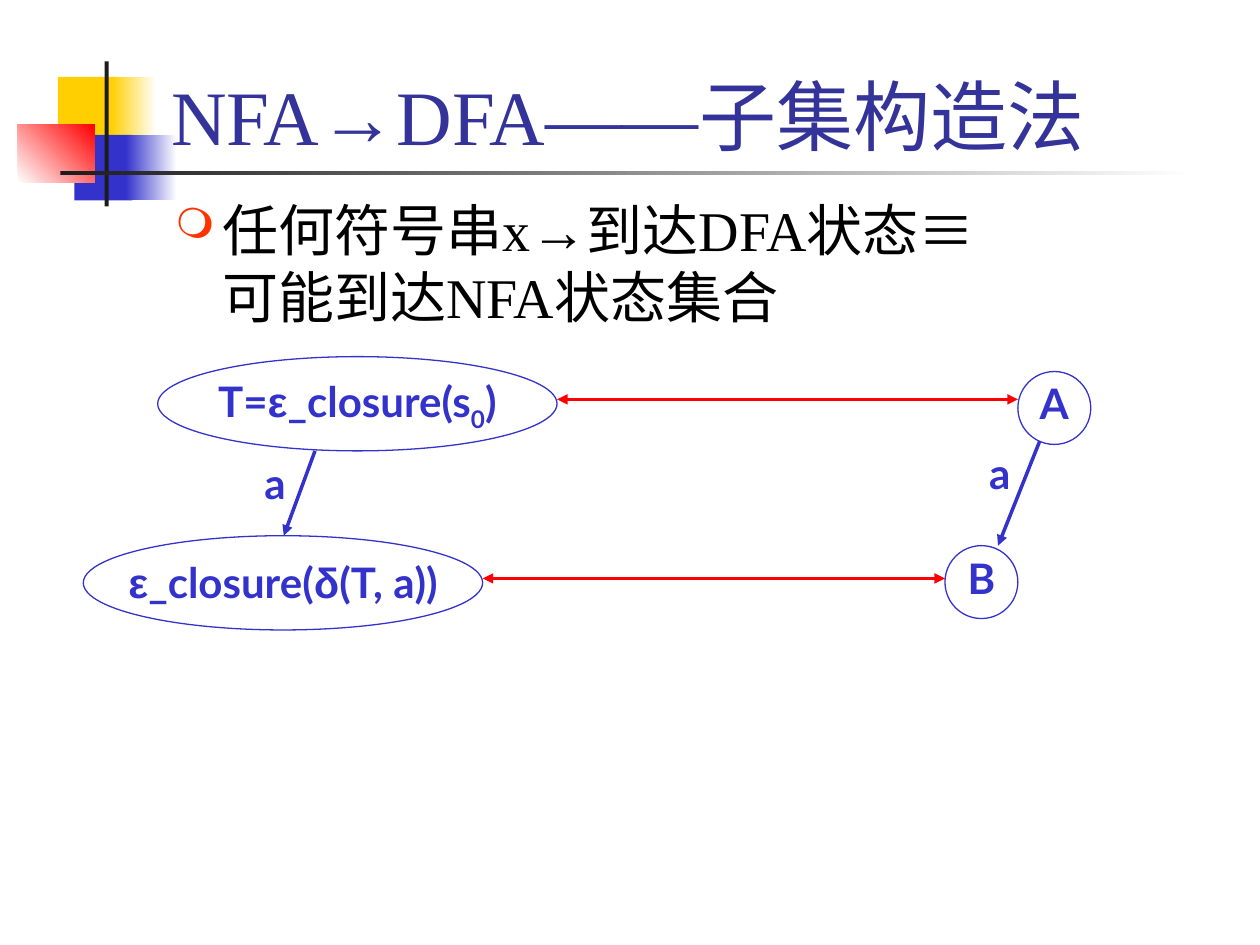
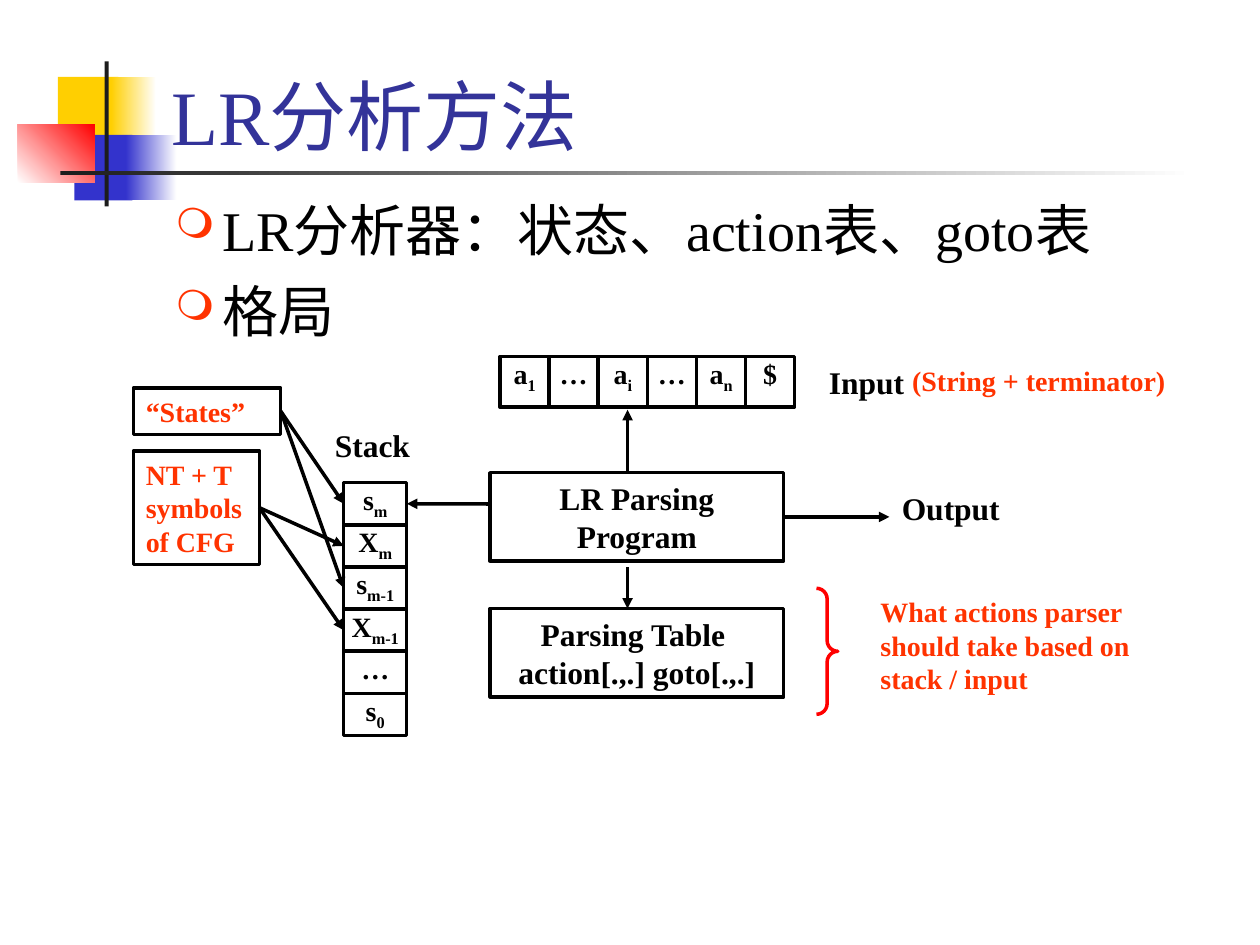
from lxml.etree import SubElement
from pptx import Presentation
from pptx.dml.color import RGBColor
from pptx.enum.shapes import MSO_CONNECTOR, MSO_SHAPE
from pptx.enum.text import MSO_ANCHOR, PP_ALIGN
from pptx.oxml.ns import qn
from pptx.util import Cm, Pt

WHITE = RGBColor(0xFF, 0xFF, 0xFF)
BLACK = RGBColor(0x00, 0x00, 0x00)
CHARCOAL = RGBColor(0x1C, 0x1C, 0x1C)
YELLOW = RGBColor(0xFF, 0xCF, 0x01)
BLUE = RGBColor(0x33, 0x33, 0xCC)
NAVY = RGBColor(0x33, 0x33, 0x99)
RED = RGBColor(0xFF, 0x00, 0x00)
ORANGE = RGBColor(0xFF, 0x33, 0x00)

SERIF, SANS, SYMBOL = "Times New Roman", "Lato", "Arial"
TITLE = dict(size=Pt(44), name=SERIF, color=NAVY)
BODY = dict(size=Pt(32), name=SERIF, color=BLACK)
STATE = dict(size=Pt(24), name=SANS, bold=True, color=BLUE)
PART = dict(size=Pt(18), name=SERIF, bold=True, color=BLACK)
CELL = dict(PART, size=Pt(16))
NOTE = dict(CELL, color=ORANGE)
CENTER, LEFT = PP_ALIGN.CENTER, PP_ALIGN.LEFT
TOP, MIDDLE, BOTTOM = MSO_ANCHOR.TOP, MSO_ANCHOR.MIDDLE, MSO_ANCHOR.BOTTOM
SITE_LEFT, SITE_RIGHT = 1, 3


def greek(text):
    return text, {"name": SYMBOL}


def sub(text):
    return text, {"baseline": -25000}


class Deck:
    """Draws the shared look and every kind of element on the current slide."""

    def __init__(self):
        self.prs = Presentation()
        self.prs.slide_width, self.prs.slide_height = Cm(25.4), Cm(19.05)
        self.s = None

    def slide(self, title, bullets):
        self.s = self.prs.slides.add_slide(self.prs.slide_layouts[6])
        self.block((1.17, 1.55, 1.22, 1.32), YELLOW)
        self.block((2.24, 1.55, 0.91, 1.32), YELLOW, WHITE)
        self.block((1.5, 2.72, 1.17, 1.32), BLUE)
        self.block((2.54, 2.72, 1.02, 1.32), BLUE, WHITE)
        self.block((0.36, 2.51, 1.55, 1.17), WHITE, RED, angle=45)
        self.block((2.11, 1.24, 0.08, 2.92), CHARCOAL)
        self.block((1.22, 3.45, 22.86, 0.08), CHARCOAL, WHITE)
        self.label((3.2, 0.2, 21.64, 3.18), [title], TITLE, anchor=BOTTOM)
        sp = self.label((3.28, 3.81, 21.59, 13.13), bullets, BODY, before=8)
        for p in sp.text_frame.paragraphs:
            self.bullet(p)

    def block(self, at, color, fade=None, angle=0):
        sp = self.s.shapes.add_shape(MSO_SHAPE.RECTANGLE, *map(Cm, at))
        sp.shadow.inherit = False
        sp.line.fill.background()
        if fade is None:
            sp.fill.solid()
            sp.fill.fore_color.rgb = color
            return
        sp.fill.gradient()
        sp.fill.gradient_angle = angle
        for stop, shade in zip(sp.fill.gradient_stops, (color, fade)):
            stop.color.rgb = shade

    def outline(self, kind, at, color=BLACK, width=2):
        sp = self.s.shapes.add_shape(kind, *map(Cm, at))
        sp.shadow.inherit = False
        sp.fill.background()
        sp.line.color.rgb = color
        sp.line.width = Pt(width)
        return sp

    def box(self, at, runs, style, **layout):
        sp = self.outline(MSO_SHAPE.RECTANGLE, at)
        self.set_text(sp, [runs], style, **layout)
        return sp

    def cell(self, at, runs):
        return self.box(at, runs, CELL, align=CENTER, inset=(0, 0))

    def label(self, at, paragraphs, style, **layout):
        sp = self.s.shapes.add_textbox(*map(Cm, at))
        self.set_text(sp, paragraphs, style, **layout)
        return sp

    def set_text(self, sp, paragraphs, style, align=LEFT, anchor=TOP, before=0, inset=(0.25, 0.13)):
        tf = sp.text_frame
        side, edge = map(Cm, inset)
        frame = dict(word_wrap=True, vertical_anchor=anchor, margin_left=side,
                     margin_right=side, margin_top=edge, margin_bottom=edge)
        for key, value in frame.items():
            setattr(tf, key, value)
        for i, runs in enumerate(paragraphs):
            p = tf.add_paragraph() if i else tf.paragraphs[0]
            p.alignment = align
            p.space_before = Pt(before)
            for run in runs:
                text, changes = (run, {}) if isinstance(run, str) else run
                if text == "\n":
                    p.add_line_break()
                else:
                    self.add_text(p, text, {**style, **changes})

    def add_text(self, p, text, style):
        r = p.add_run()
        r.text = text
        for key, value in style.items():
            if key == "color":
                r.font.color.rgb = value
            elif key == "baseline":
                r._r.get_or_add_rPr().set(key, str(value))
            else:
                setattr(r.font, key, value)

    def bullet(self, p):
        pPr = p._p.get_or_add_pPr()
        pPr.set("marL", str(Cm(0.95)))
        pPr.set("indent", str(-Cm(0.95)))
        SubElement(SubElement(pPr, qn("a:buClr")), qn("a:srgbClr"), val=str(ORANGE))
        SubElement(pPr, qn("a:buSzPct"), val="75000")
        SubElement(pPr, qn("a:buChar"), char="❍")

    def arrow(self, start, end, color=BLACK, both=False):
        """Each end is an (x, y) point or a (shape, site) pair."""
        points = [(0, 0) if hasattr(e[0], "shape_id") else e for e in (start, end)]
        cx = self.s.shapes.add_connector(MSO_CONNECTOR.STRAIGHT, *map(Cm, points[0] + points[1]))
        for target, join in ((start, cx.begin_connect), (end, cx.end_connect)):
            if hasattr(target[0], "shape_id"):
                join(*target)
        cx.line.color.rgb = color
        cx.line.width = Pt(2)
        ln = cx.get_or_add_ln()
        for tag in ("a:headEnd", "a:tailEnd") if both else ("a:tailEnd",):
            SubElement(ln, qn(tag), type="triangle")
        SubElement(cx._element.spPr, qn("a:effectLst"))


def subset_construction(deck):
    deck.slide(["NFA", greek("→"), "DFA——子集构造法"],
               [["任何符号串x", greek("→"), "到达DFA状态≡", "\n", "可能到达NFA状态集合"]])
    closures = [
        (3.18, 7.19, 7.44, 1.42, ["T=", greek("ε"), "_closure(s", sub("0"), ")"]),
        (1.68, 10.8, 11.1, 1.27, [greek("ε"), "_closure(", greek("δ"), "(T, a))"]),
    ]
    for x, y, text_y, text_h, runs in closures:
        deck.outline(MSO_SHAPE.OVAL, (x, y, 8.05, 1.9), BLUE, 0.75)
        deck.label((x, text_y, 8.05, text_h), [runs], STATE, align=CENTER, anchor=MIDDLE, before=15)
    for x, y, name in ((20.52, 7.49, "A"), (19.05, 11, "B")):
        deck.outline(MSO_SHAPE.OVAL, (x, y, 1.47, 1.47), BLUE, 0.75)
        deck.label((x, y, 1.47, 1.27), [[name]], STATE, align=CENTER, before=15)
    for left, right, y in ((11.23, 20.52, 8.05), (9.73, 19.05, 11.66)):
        deck.arrow((left, y), (right, y), RED, both=True)
    deck.arrow((6.35, 9.09), (5.72, 10.8), BLUE)
    deck.arrow((20.96, 8.89), (20.12, 11), BLUE)
    for x, y in ((5.08, 9.09), (19.69, 8.89)):
        deck.label((x, y, 1.07, 1.27), [["a"]], STATE, before=15)


def lr_parsing(deck):
    deck.slide(["LR分析方法"], [["LR分析器：状态、action表、goto表"], ["格局"]])
    tape = [["a", sub("1")], ["…"], ["a", sub("i")], ["…"], ["a", sub("n")], ["$"]]
    for i, runs in enumerate(tape):
        deck.cell((10.08 + 0.99 * i, 7.19, 0.99, 1.02), runs)
    symbols = [["s", sub("m")], ["X", sub("m")], ["s", sub("m-1")], ["X", sub("m-1")],
               ["…"], ["s", sub("0")]]
    stack = [deck.cell((6.93, 9.73 + 0.85 * i, 1.27, 0.85), runs)
             for i, runs in enumerate(symbols)]

    program = deck.box((9.88, 9.53, 5.92, 1.78), ["LR Parsing Program"], PART, align=CENTER)
    deck.box((9.88, 12.27, 5.92, 1.78), ["Parsing Table ", "\n", "action[.,.] goto[.,.]"],
             PART, align=CENTER)
    states = deck.box((2.69, 7.82, 2.97, 0.94), ["“States”"], NOTE)
    grammar = deck.box((2.69, 9.09, 2.54, 2.29), ["NT + T symbols of CFG"], NOTE)

    for x, y, w, name in ((16.46, 7.19, 2.34, "Input"), (6.5, 8.46, 2.34, "Stack"),
                          (17.93, 9.73, 3.18, "Output")):
        deck.label((x, y, w, 1.02), [[name]], PART)
    deck.label((18.14, 7.19, 5.72, 0.94), [["(String + terminator)"]], NOTE)
    deck.label((17.5, 11.86, 5.92, 2.29),
               [["What actions parser should take based on stack / input"]], NOTE)
    brace = deck.outline(MSO_SHAPE.RIGHT_BRACE, (16.46, 11.86, 0.43, 2.54), RED)
    brace.adjustments[0] = 0.5

    deck.arrow((12.65, 9.53), (12.65, 8.26))
    deck.arrow((12.65, 11.43), (12.65, 12.27))
    deck.arrow((9.88, 10.16), (stack[0], SITE_RIGHT))
    deck.arrow((program, SITE_RIGHT), (17.93, 10.42))
    for i, cell in enumerate(stack[:4]):
        source = grammar if i % 2 else states
        deck.arrow((source, SITE_RIGHT), (cell, SITE_LEFT))


def main():
    deck = Deck()
    subset_construction(deck)
    lr_parsing(deck)
    deck.prs.save("out.pptx")


if __name__ == "__main__":
    main()
